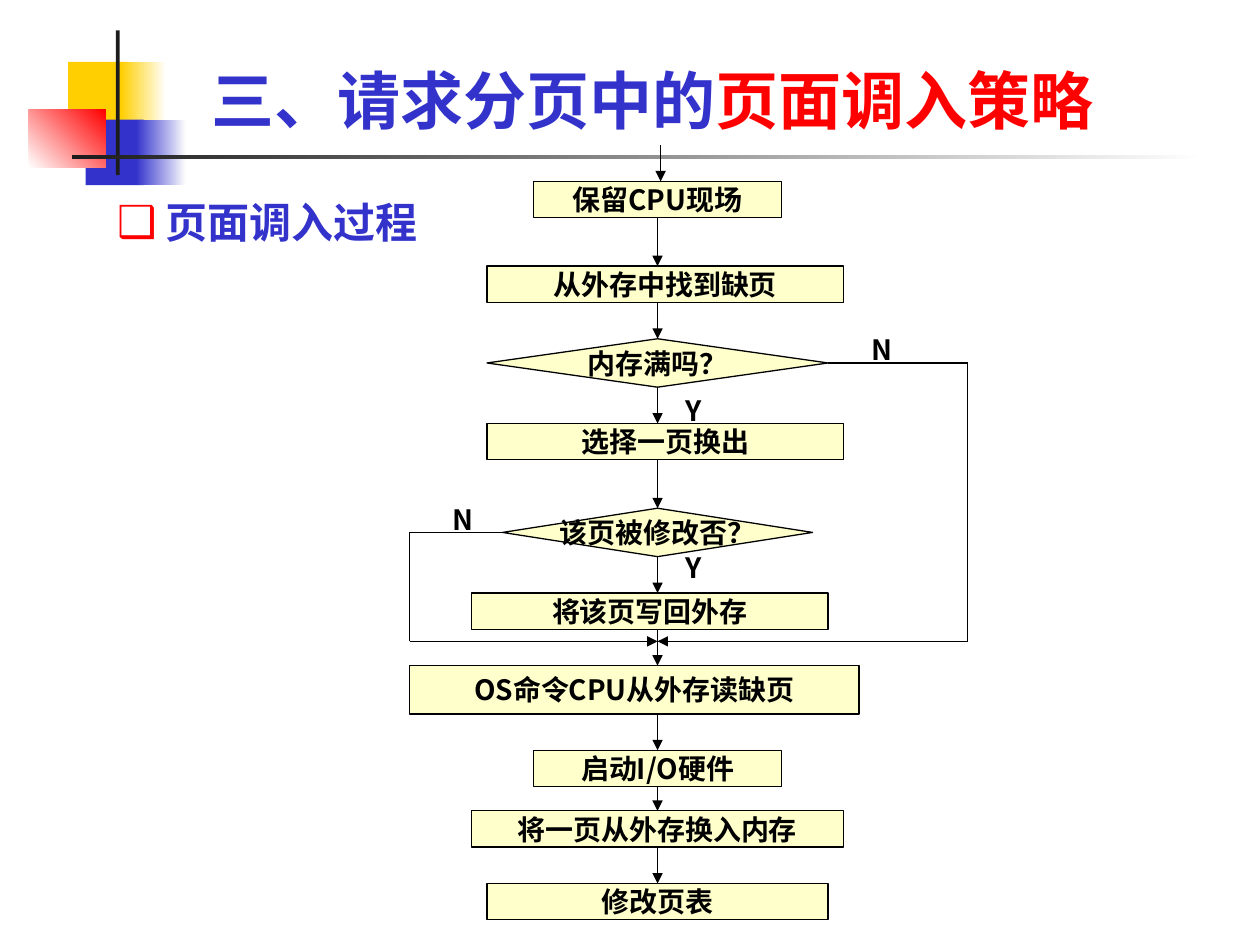
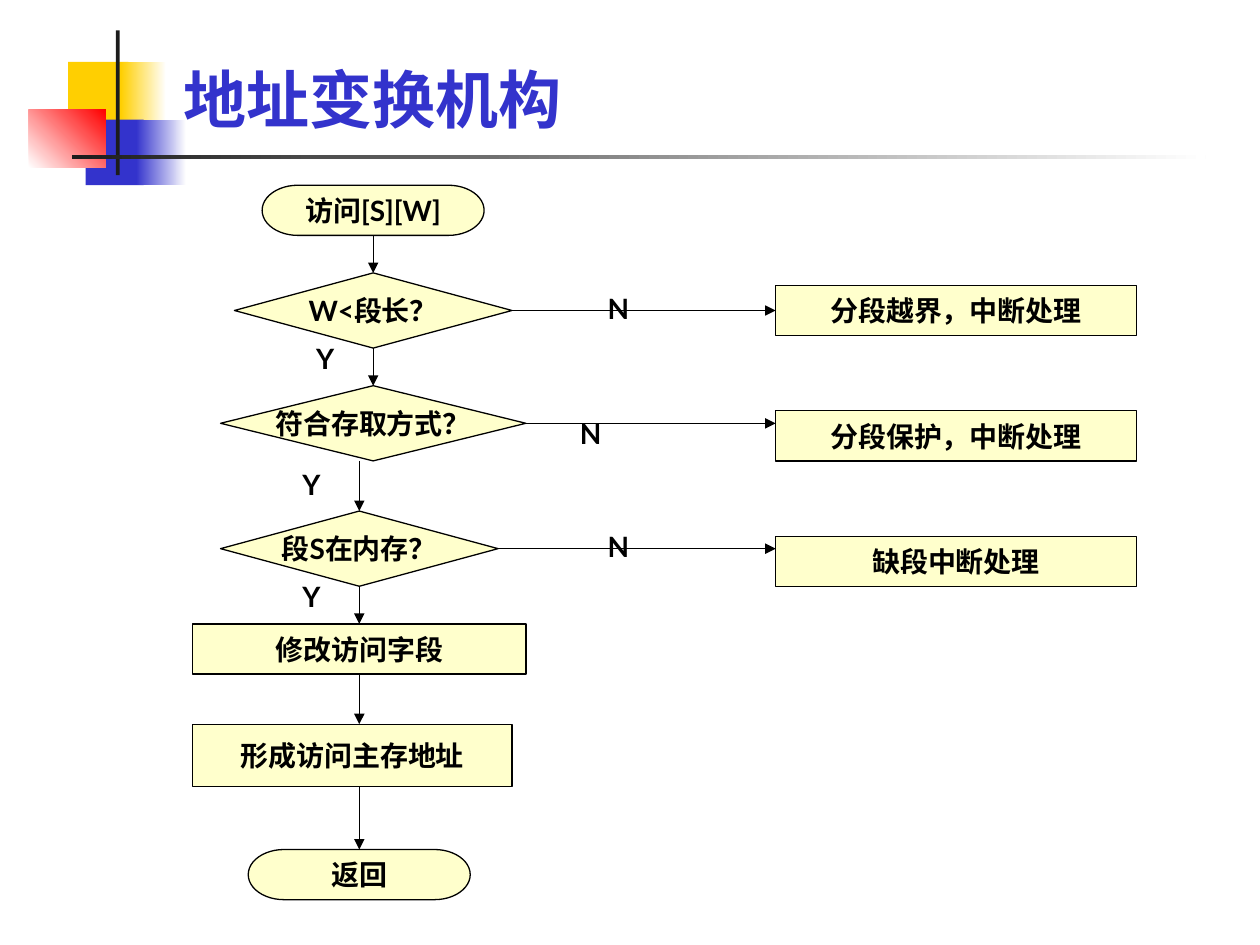
from dataclasses import dataclass
from itertools import pairwise

from lxml import etree
from pptx import Presentation
from pptx import util as u
from pptx.dml import color
from pptx.enum import shapes, text
from pptx.oxml import ns

HAN_FONT, LATIN_FONT = "Noto Sans CJK SC", "Lato"
BLUE, RED, YELLOW = "3333CC", "FF0000", "FFCF01"
INK, BLACK, WHITE, CREAM = "1C1C1C", "000000", "FFFFFF", "FFFFCC"
SHAPE = shapes.MSO_SHAPE
PROCESS, DECISION, TERMINATOR = (
    SHAPE.FLOWCHART_PROCESS, SHAPE.FLOWCHART_DECISION, SHAPE.FLOWCHART_TERMINATOR)


@dataclass
class Grid:
    left: float
    top: float
    width: float
    height: float
    columns: int
    rows: int

    def point(self, column, row):
        return (u.Inches(self.left + self.width * column / self.columns),
                u.Inches(self.top + self.height * row / self.rows))

    def area(self, column, row, columns, rows):
        left, top = self.point(column, row)
        right, bottom = self.point(column + columns, row + rows)
        return left, top, right - left, bottom - top


SLIDE = Grid(0, 0, 10, 7.5, 1000, 750)


def rgb(value):
    return color.RGBColor.from_string(value)


def add_child(parent, tag, **attributes):
    return etree.SubElement(parent, ns.qn(tag), attributes)


def add_span(para, words, size, tint, font=HAN_FONT):
    span = para.add_run()
    span.text = words
    span.font.size = u.Pt(size)
    span.font.bold = True
    span.font.name = font
    span.font.color.rgb = rgb(tint)
    add_child(span.font._element, "a:ea", typeface=HAN_FONT)


def move(box, area):
    box.left, box.top, box.width, box.height = area


def add_band(page, area, tints, angle=0):
    band = page.shapes.add_shape(SHAPE.RECTANGLE, *SLIDE.area(*area))
    band.shadow.inherit = False
    band.line.fill.background()
    if len(tints) == 1:
        band.fill.solid()
        band.fill.fore_color.rgb = rgb(tints[0])
    else:
        band.fill.gradient()
        band.fill.gradient_angle = angle
        for stop, tint in zip(band.fill.gradient_stops, tints):
            stop.color.rgb = rgb(tint)
    return band


def decorate_master(deck, page):
    bands = [
        add_band(page, (54, 49, 48, 52), [YELLOW]),
        add_band(page, (96, 49, 36, 52), [YELLOW, WHITE]),
        add_band(page, (68, 95, 46, 52), [BLUE]),
        add_band(page, (108, 95, 40, 52), [BLUE, WHITE]),
        add_band(page, (23, 87, 61, 46), [WHITE, RED], 45),
        add_band(page, (92, 24, 3, 115), [INK]),
        add_band(page, (57, 123, 900, 3), [INK, WHITE]),
    ]
    for order, band in enumerate(bands):
        band.element.xpath(".//p:cNvPr")[0].set("id", str(100 + order))
        deck.slide_master.shapes.element.insert(2 + order, band.element)


def write_title(page, area, spans):
    title = page.shapes.title
    move(title, SLIDE.area(*area))
    frame = title.text_frame
    frame.auto_size = text.MSO_AUTO_SIZE.NONE
    frame.vertical_anchor = text.MSO_ANCHOR.BOTTOM
    para = frame.paragraphs[0]
    para.alignment = text.PP_ALIGN.LEFT
    for words, tint in spans:
        add_span(para, words, 36, tint)


def write_body(page, area, words):
    body = page.placeholders[1]
    move(body, SLIDE.area(*area))
    body.text_frame.auto_size = text.MSO_AUTO_SIZE.NONE
    para = body.text_frame.paragraphs[0]
    para.line_spacing = 1.2
    para.space_before = u.Pt(4.8)
    add_span(para, words, 24, BLUE)
    settings = para._p.get_or_add_pPr()
    settings.set("marL", str(u.Inches(0.38)))
    settings.set("indent", str(u.Inches(-0.38)))
    add_child(add_child(settings, "a:buClr"), "a:srgbClr", val=RED)
    add_child(settings, "a:buSzPct", val="105000")
    add_child(settings, "a:buChar", char="❑")


def add_step(page, grid, font, kind, area, words):
    step = page.shapes.add_shape(kind, *grid.area(*area))
    step.shadow.inherit = False
    step.fill.solid()
    step.fill.fore_color.rgb = rgb(CREAM)
    step.line.color.rgb = rgb(BLACK)
    step.line.width = u.Pt(0.75)
    frame = step.text_frame
    frame.word_wrap = False
    frame.vertical_anchor = text.MSO_ANCHOR.MIDDLE
    para = frame.paragraphs[0]
    para.alignment = text.PP_ALIGN.CENTER
    add_span(para, words, 16, BLACK, font)
    return step


def side_middles(column, row, columns, rows):
    middle, centre = column + columns / 2, row + rows / 2
    return [(middle, row), (column, centre), (middle, row + rows), (column + columns, centre)]


def add_flow(page, grid, route, sockets):
    for start, end in pairwise(route):
        line = page.shapes.add_connector(
            shapes.MSO_CONNECTOR.STRAIGHT, *grid.point(*start), *grid.point(*end))
        line.line.color.rgb = rgb(BLACK)
        line.line.width = u.Pt(0.75)
        if end == route[-1]:
            add_child(line.line._get_or_add_ln(), "a:tailEnd", type="triangle")
        add_child(line.element.spPr, "a:effectLst")
        if start in sockets:
            line.begin_connect(*sockets[start])
        if end in sockets:
            line.end_connect(*sockets[end])


def add_answer(page, grid, font, words, column, row):
    left, top = grid.point(column, row)
    answer = page.shapes.add_textbox(left, top, grid.area(0, 0, 4, 1)[2], u.Inches(0.37))
    answer.text_frame.word_wrap = True
    add_span(answer.text_frame.paragraphs[0], words, 16, BLACK, font)


def draw_flowchart(page, grid, font, steps, routes, answers):
    sockets = {}
    for kind, area, words in steps:
        step = add_step(page, grid, font, kind, area, words)
        for site, place in enumerate(side_middles(*area)):
            sockets[place] = step, site
    for route in routes:
        add_flow(page, grid, route, sockets)
    for answer in answers:
        add_answer(page, grid, font, *answer)


def build_page_loading(deck):
    page = deck.slides.add_slide(deck.slide_layouts[1])
    write_title(page, (158, 44, 798, 70), [("三、请求分页中的", BLUE), ("页面调入策略", RED)])
    write_body(page, (83, 143, 833, 492), "页面调入过程")
    steps = [
        (PROCESS, (8, 0, 16, 3), "保留CPU现场"),
        (PROCESS, (5, 7, 23, 3), "从外存中找到缺页"),
        (DECISION, (5, 13, 22, 4), "内存满吗？"),
        (PROCESS, (5, 20, 23, 3), "选择一页换出"),
        (DECISION, (6, 27, 20, 4), "该页被修改否？"),
        (PROCESS, (4, 34, 23, 3), "将该页写回外存"),
        (PROCESS, (0, 40, 29, 4), "OS命令CPU从外存读缺页"),
        (PROCESS, (8, 47, 16, 3), "启动I/O硬件"),
        (PROCESS, (4, 52, 24, 3), "将一页从外存换入内存"),
        (PROCESS, (5, 58, 22, 3), "修改页表"),
    ]
    areas = [area for _, area, _ in steps]
    routes = [[(16, upper[1] + upper[3]), (16, lower[1])] for upper, lower in pairwise(areas)]
    routes += [
        [(16.2, -3), (16.2, 0)],
        [(27, 15), (36, 15), (36, 38), (16, 38)],
        [(6, 29), (0, 29), (0, 38), (16, 38)],
    ]
    answers = [("Y", 17, 17), ("N", 29, 12), ("Y", 17, 30), ("N", 2, 26)]
    draw_flowchart(page, Grid(3.25, 1.44, 4.43, 5.86, 36, 61), HAN_FONT, steps, routes, answers)
    return page


def build_address_translation(deck):
    page = deck.slides.add_slide(deck.slide_layouts[5])
    write_title(page, (136, 44, 852, 69), [("地址变换机构", BLUE)])
    main_steps = [
        (TERMINATOR, (5, 0, 16, 4), "访问[S][W]"),
        (DECISION, (3, 7, 20, 6), "W<段长？"),
        (DECISION, (2, 16, 22, 6), "符合存取方式？"),
        (DECISION, (2, 26, 20, 6), "段S在内存？"),
        (PROCESS, (0, 35, 24, 4), "修改访问字段"),
        (PROCESS, (0, 43, 23, 5), "形成访问主存地址"),
        (TERMINATOR, (4, 53, 16, 4), "返回"),
    ]
    faults = ["分段越界，中断处理", "分段保护，中断处理", "缺段中断处理"]
    fault_steps = [(PROCESS, (42, 8 + 10 * order, 26, 4), words)
                   for order, words in enumerate(faults)]
    areas = [area for _, area, _ in main_steps]
    routes = [[(13 if order < 2 else 12, upper[1] + upper[3]),
               (13 if order < 2 else 12, lower[1])]
              for order, (upper, lower) in enumerate(pairwise(areas))]
    for area in areas[1:4]:
        exit_point = side_middles(*area)[3]
        routes.append([exit_point, (42, exit_point[1])])
    answers = [("N", 29, 8), ("N", 27, 18), ("N", 29, 27),
               ("Y", 8, 12), ("Y", 7, 22), ("Y", 7, 31)]
    draw_flowchart(page, Grid(1.53, 1.47, 7.49, 5.67, 68, 57), LATIN_FONT,
                   main_steps + fault_steps, routes, answers)


def main():
    deck = Presentation()
    deck.slide_width, deck.slide_height = u.Inches(SLIDE.width), u.Inches(SLIDE.height)
    decorate_master(deck, build_page_loading(deck))
    build_address_translation(deck)
    deck.save("out.pptx")


if __name__ == "__main__":
    main()
